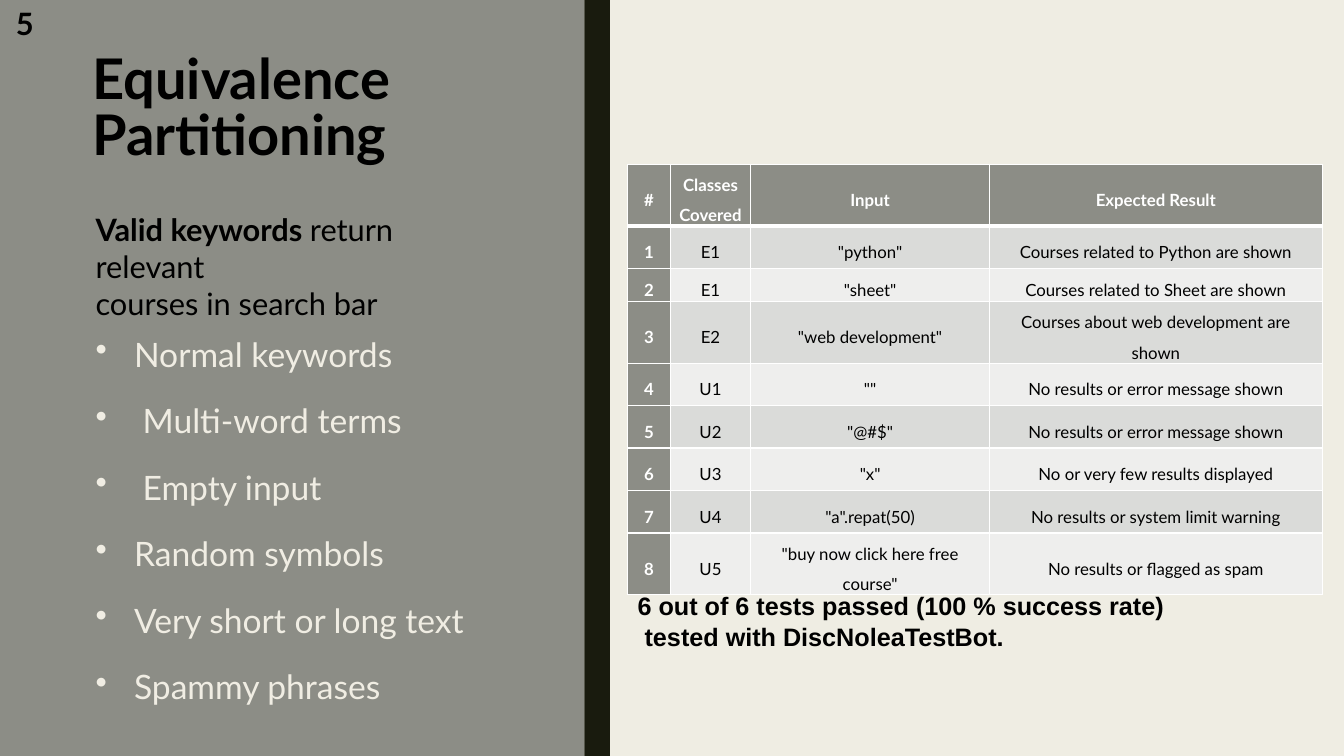
import pptx
import pptx.dml.color
import pptx.enum.shapes
import pptx.enum.text
import pptx.oxml
import pptx.oxml.ns
import pptx.util
from pptx.util import Cm

COLORS = {
    "background": "EFEDE3",
    "panel": "8C8D86",
    "stripe": "191B0E",
    "ink": "000000",
    "keyword": "F0EDE3",
    "white": "FFFFFF",
    "odd_row": "DADBD9",
    "even_row": "EEEEED",
}

KEYWORD_KINDS = [
    "Normal keywords", " Multi-word terms", " Empty input",
    "Random symbols", "Very short or long text", "Spammy phrases",
]

HEADINGS = ["#", "Classes Covered", "Input", "Expected Result"]
TEST_CASES = [
    ("E1", '"python"', "Courses related to Python are shown"),
    ("E1", '"sheet"', "Courses related to Sheet are shown"),
    ("E2", '"web development"', "Courses about web development are shown"),
    ("U1", '""', "No results or error message shown"),
    ("U2", '"@#$"', "No results or error message shown"),
    ("U3", '"x"', "No or very few results displayed"),
    ("U4", '"a".repat(50)', "No results or system limit warning"),
    ("U5", '"buy now click here free course"', "No results or flagged as spam"),
]
COLUMN_WIDTHS = [1.07, 2.03, 6.02, 8.38]
ROW_HEIGHTS = [1.55, 1.07, 0.84, 1.55, 1.07, 1.07, 1.07, 1.07, 1.55]


def rgb(name):
    return pptx.dml.color.RGBColor.from_string(COLORS[name])


def write(paragraph, text, size=12, color="ink", bold=False, font="Lato",
          align="LEFT", line_spacing=1.0, space_after=0):
    paragraph.alignment = getattr(pptx.enum.text.PP_ALIGN, align)
    paragraph.line_spacing = line_spacing
    paragraph.space_after = pptx.util.Pt(space_after)
    run = paragraph.add_run()
    run.text = text
    run.font.size = pptx.util.Pt(size)
    run.font.name = font
    run.font.bold = bold
    run.font.color.rgb = rgb(color)


def add_band(slide, left, width, color):
    band = slide.shapes.add_shape(
        pptx.enum.shapes.MSO_SHAPE.RECTANGLE, Cm(left), 0, Cm(width), Cm(19.05))
    band.shadow.inherit = False
    band.fill.solid()
    band.fill.fore_color.rgb = rgb(color)
    band.line.fill.background()


def add_text(slide, box, lines, wrap=True, **text_format):
    frame = slide.shapes.add_textbox(*map(Cm, box)).text_frame
    frame.word_wrap = wrap
    for index, line in enumerate(lines):
        paragraph = frame.add_paragraph() if index else frame.paragraphs[0]
        write(paragraph, line, **text_format)
    return frame


def add_bullets(frame):
    for paragraph in frame.paragraphs:
        properties = paragraph._p.get_or_add_pPr()
        properties.set("marL", str(Cm(0.97)))
        properties.set("indent", str(-Cm(0.97)))
        bullet = pptx.oxml.parse_xml(
            f'<a:buChar {pptx.oxml.ns.nsdecls("a")} char="•"/>')
        properties.append(bullet)


def set_borders(cell, top, bottom):
    properties = cell._tc.get_or_add_tcPr()
    sides = [("lnL", 1), ("lnR", 1), ("lnT", top), ("lnB", bottom)]
    for index, (side, points) in enumerate(sides):
        border = pptx.oxml.parse_xml(
            f'<a:{side} {pptx.oxml.ns.nsdecls("a")} w="{pptx.util.Pt(points)}">'
            f'<a:solidFill><a:srgbClr val="{COLORS["white"]}"/></a:solidFill>'
            f'</a:{side}>')
        properties.insert(index, border)


def fill_cell(cell, text, row, column):
    heading = row == 0 or column == 0
    stripe = "odd_row" if row % 2 else "even_row"
    cell.fill.solid()
    cell.fill.fore_color.rgb = rgb("panel" if heading else stripe)
    cell.vertical_anchor = pptx.enum.text.MSO_ANCHOR.MIDDLE
    cell.margin_left = cell.margin_right = Cm(0.18)
    cell.margin_top = cell.margin_bottom = 0
    write(cell.text_frame.paragraphs[0], text, bold=heading,
          color="white" if heading else "ink", align="CENTER", line_spacing=1.5)
    set_borders(cell, top=3 if row == 1 else 1, bottom=3 if row == 0 else 1)


def add_test_table(slide):
    rows = [HEADINGS] + [(str(number), *case)
                         for number, case in enumerate(TEST_CASES, 1)]
    table = slide.shapes.add_table(
        len(rows), len(HEADINGS), Cm(15.82), Cm(4.14),
        Cm(sum(COLUMN_WIDTHS)), Cm(sum(ROW_HEIGHTS))).table
    for column, width in zip(table.columns, COLUMN_WIDTHS):
        column.width = Cm(width)
    for row, height in zip(table.rows, ROW_HEIGHTS):
        row.height = Cm(height)
    for row, texts in enumerate(rows):
        for column, text in enumerate(texts):
            fill_cell(table.cell(row, column), text, row, column)


def main():
    deck = pptx.Presentation()
    deck.slide_width, deck.slide_height = Cm(33.87), Cm(19.05)
    slide = deck.slides.add_slide(deck.slide_layouts[6])
    slide.background.fill.solid()
    slide.background.fill.fore_color.rgb = rgb("background")

    add_band(slide, 0, 14.73, "panel")
    add_band(slide, 14.73, 0.64, "stripe")
    add_text(slide, (2.08, 1.24, 11.43, 4.19), ["Equivalence Partitioning"],
             size=40, bold=True, line_spacing=0.84)
    keywords = add_text(slide, (2.16, 8.15, 10.72, 10.06), KEYWORD_KINDS, size=24,
                        color="keyword", line_spacing=1.13, space_after=15)
    add_bullets(keywords)
    add_test_table(slide)

    rule = add_text(slide, (2.16, 5.18, 10.59, 2.13), ["Valid keywords "],
                    size=22, bold=True)
    write(rule.paragraphs[0], "return relevant", size=22)
    write(rule.add_paragraph(), "courses in search bar", size=22)
    add_text(slide, (0.15, 0, 0.94, 1.19), ["5"], wrap=False, size=22, bold=True)
    add_text(slide, (15.82, 14.76, 16.21, 2.57),
             ["6 out of 6 tests passed (100 % success rate)",
              " tested with DiscNoleaTestBot."],
             size=18, bold=True, font="Arial")
    deck.save("out.pptx")


if __name__ == "__main__":
    main()
